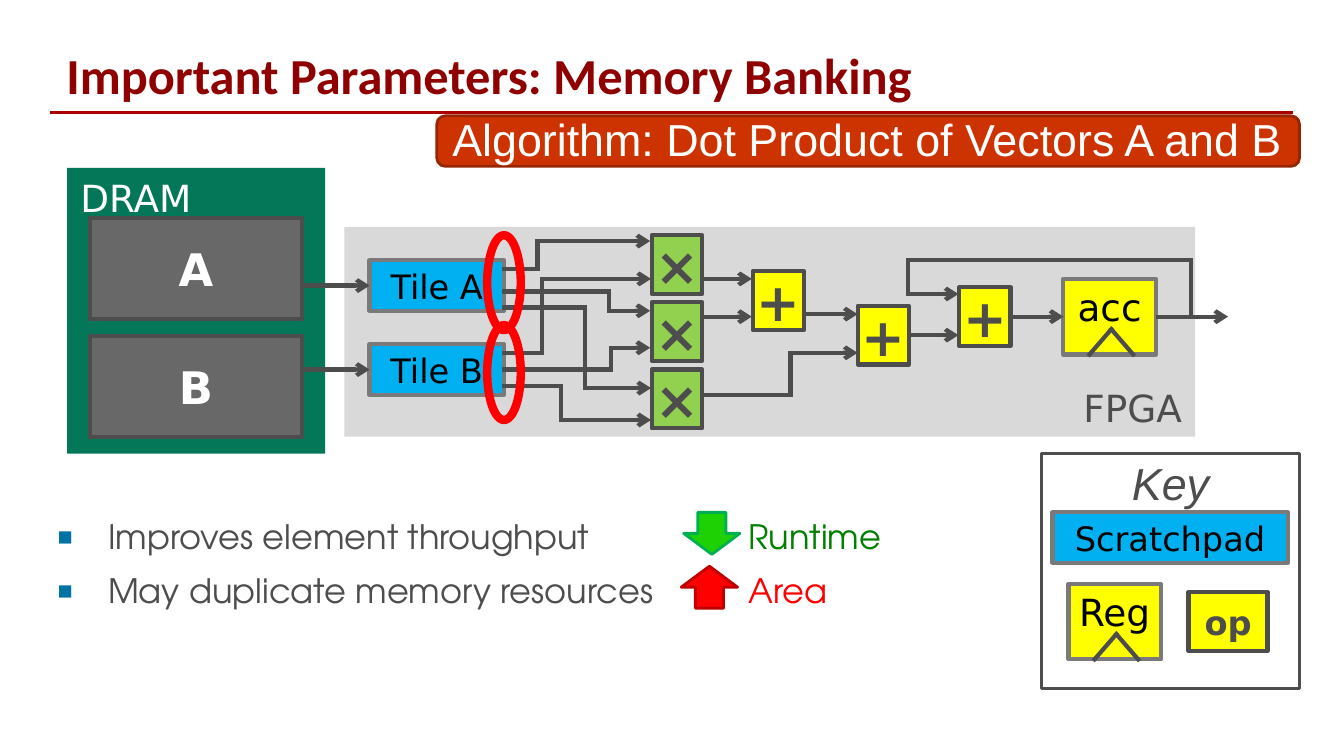
from itertools import pairwise

from lxml import etree
from pptx import Presentation
from pptx.dml.color import RGBColor
from pptx.enum.shapes import MSO_CONNECTOR, MSO_SHAPE
from pptx.enum.text import MSO_ANCHOR, MSO_AUTO_SIZE, PP_ALIGN
from pptx.oxml.ns import qn
from pptx.util import Inches, Pt

RECTANGLE, ROUNDED = MSO_SHAPE.RECTANGLE, MSO_SHAPE.ROUNDED_RECTANGLE
ELLIPSE, DOWN_ARROW = MSO_SHAPE.OVAL, MSO_SHAPE.DOWN_ARROW
STRAIGHT = MSO_CONNECTOR.STRAIGHT
TOP, MIDDLE, BOTTOM = MSO_ANCHOR.TOP, MSO_ANCHOR.MIDDLE, MSO_ANCHOR.BOTTOM
LEFT, CENTER, RIGHT = PP_ALIGN.LEFT, PP_ALIGN.CENTER, PP_ALIGN.RIGHT
LEFT_SIDE, RIGHT_SIDE = 1, 3

WHITE = RGBColor(0xFF, 0xFF, 0xFF)
BLACK = RGBColor(0, 0, 0)
INK = RGBColor(0x4D, 0x4D, 0x4D)
EDGE = RGBColor(0x7A, 0x7A, 0x7A)
BANK = RGBColor(0x68, 0x68, 0x68)
PANEL = RGBColor(0xD9, 0xD9, 0xD9)
DRAM_GREEN = RGBColor(0x05, 0x77, 0x59)
YELLOW = RGBColor(0xFF, 0xFF, 0)
LIME = RGBColor(0x92, 0xD0, 0x50)
BLUE = RGBColor(0, 0xB0, 0xF0)
RED = RGBColor(0xFF, 0, 0)
DARK_RED = RGBColor(0xC0, 0, 0)
TITLE_RED = RGBColor(0x8F, 0, 0)
RULE_RED = RGBColor(0xAC, 0, 0)
BANNER = RGBColor(0xCC, 0x33, 0)
BANNER_EDGE = RGBColor(0x97, 0x26, 0)
DOWN_GREEN = RGBColor(0x1D, 0xD1, 0x05)
DOWN_EDGE = RGBColor(0, 0xB0, 0x50)
RUNTIME_GREEN = RGBColor(0, 0x80, 0)

deck = Presentation()
deck.slide_width, deck.slide_height = Inches(13.33), Inches(7.5)
COLUMN, ROW = deck.slide_width / 160, deck.slide_height / 90
page = deck.slides.add_slide(deck.slide_layouts[1])


def add_block(place, fill, edge=None, label="", font=None, kind=RECTANGLE,
              weight=3, align=CENTER, anchor=MIDDLE, margins=(0.13, 0.07), spacing=1.0):
    """Place is left, top, width and height in grid cells."""
    left, top, width, height = place
    box = page.shapes.add_shape(kind, round(left * COLUMN), round(top * ROW),
                                round(width * COLUMN), round(height * ROW))
    box.shadow.inherit = False
    if fill is None:
        box.fill.background()
    else:
        box.fill.solid()
        box.fill.fore_color.rgb = fill
    if edge is None:
        box.line.fill.background()
    else:
        box.line.color.rgb = edge
        box.line.width = Pt(weight)
    if label:
        frame = box.text_frame
        frame.word_wrap = True
        frame.vertical_anchor = anchor
        frame.margin_left = frame.margin_right = Inches(margins[0])
        frame.margin_top = frame.margin_bottom = Inches(margins[1])
        para = frame.paragraphs[0]
        para.alignment = align
        para.line_spacing = spacing
        span = para.add_run()
        span.text = label
        span.font.color.rgb = font["color"]
        for name in ("name", "size", "bold", "italic"):
            setattr(span.font, name, font.get(name))
    return box


def add_route(points, source=None, target=None, color=INK, weight=3, arrow=True):
    """Draw straight segments through grid points, joined to blocks at the ends."""
    segments = []
    for start, end in pairwise(points):
        wire = page.shapes.add_connector(
            STRAIGHT, round(start[0] * COLUMN), round(start[1] * ROW),
            round(end[0] * COLUMN), round(end[1] * ROW))
        wire.line.color.rgb = color
        wire.line.width = Pt(weight)
        wire.line._get_or_add_ln().set("cap", "sq")
        etree.SubElement(wire._element.spPr, qn("a:effectLst"))
        segments.append(wire)
    if arrow:
        line = segments[-1].line._get_or_add_ln()
        line.set("cap", "flat")
        etree.SubElement(line, qn("a:tailEnd"), type="arrow")
    if source is not None:
        segments[0].begin_connect(source, RIGHT_SIDE)
    if target is not None:
        segments[-1].end_connect(target, LEFT_SIDE)


def deja(size, color, bold=False):
    return {"name": "DejaVu Sans", "size": Pt(size), "color": color, "bold": bold}


# Title and its rule
title, body = page.shapes.title, page.placeholders[1]
for holder, (left, top, width, height), anchor in (
        (title, (6.7, 4.8, 149, 8.2), BOTTOM), (body, (5.3, 60.8, 149.3, 29), TOP)):
    holder.left, holder.top = round(left * COLUMN), round(top * ROW)
    holder.width, holder.height = round(width * COLUMN), round(height * ROW)
    holder.text_frame.auto_size = MSO_AUTO_SIZE.NONE
    holder.text_frame.vertical_anchor = anchor
heading = title.text_frame.paragraphs[0]
heading.alignment, heading.line_spacing = LEFT, 0.8
span = heading.add_run()
span.text = "Important Parameters: Memory Banking"
span.font.color.rgb = TITLE_RED
for name, value in {"name": "Calibri", "size": Pt(36), "bold": True}.items():
    setattr(span.font, name, value)
add_route([(6.1, 13.4), (153.8, 13.4)], color=RULE_RED, weight=1.5, arrow=False)

# Effects list: the second column starts at a tab stop
frame = body.text_frame
frame.margin_left = frame.margin_right = Inches(0.13)
frame.margin_top = frame.margin_bottom = Inches(0.07)
effects = (("Improves element throughput", "Runtime", RUNTIME_GREEN),
           ("May duplicate memory resources", "Area", RED))
for index, (effect, measure, color) in enumerate(effects):
    para = frame.add_paragraph() if index else frame.paragraphs[0]
    para.line_spacing, para.space_before = 0.98, Pt(10.3)
    settings = para._p.get_or_add_pPr()
    settings.set("marL", str(Inches(0.5)))
    settings.set("indent", str(-Inches(0.5)))
    bullet_color = etree.SubElement(settings, qn("a:buClr"))
    etree.SubElement(bullet_color, qn("a:srgbClr"), val="0072A4")
    etree.SubElement(settings, qn("a:buSzPct"), val="75000")
    etree.SubElement(settings, qn("a:buChar"), char="■")
    stops = etree.SubElement(settings, qn("a:tabLst"))
    etree.SubElement(stops, qn("a:tab"), pos=str(Inches(6.85)), algn="l")
    for words, tint in ((effect + "\t", INK), (measure, color)):
        span = para.add_run()
        span.text = words
        span.font.name, span.font.size = "TeX Gyre Adventor", Pt(24)
        span.font.color.rgb = tint

# Memory and FPGA panels
add_block((8, 20, 30.7, 34), DRAM_GREEN, label="DRAM", font=deja(26.7, WHITE),
          align=LEFT, anchor=TOP)
add_block((41, 27, 101.3, 25), PANEL, label="FPGA", font=deja(26.7, INK),
          align=RIGHT, anchor=BOTTOM)
add_block((52, 13.8, 102.7, 6), BANNER, BANNER_EDGE,
          "Algorithm: Dot Product of Vectors A and B",
          {"name": "Arial", "size": Pt(32), "color": WHITE},
          kind=ROUNDED, weight=2, align=LEFT, spacing=0.93)

tiles = []
for vector, bank_top, tile_top in (("A", 26, 31), ("B", 40, 41)):
    add_block((10.7, bank_top, 25.3, 12), BANK, INK, vector, deja(32, WHITE, True))
    tile = add_block((44, tile_top, 16, 6), BLUE, EDGE, f"Tile {vector}", deja(24, BLACK))
    add_route([(36, tile_top + 3), (44, tile_top + 3)], target=tile)
    tiles.append(tile)

# Operators
for row in range(3):
    add_block((77.6, 28 + 8 * row, 6, 7), LIME, INK, "×", deja(37.3, INK, True), margins=(0, 0))
adders = [add_block((left, top, 6.1, 7), YELLOW, INK, "+", deja(37.3, INK, True), margins=(0, 0))
          for left, top in ((89.6, 32.3), (102.1, 36.4), (114.2, 34.2))]

# Key and registers
add_block((124, 54, 30.7, 28), WHITE, INK, "Key",
          {"name": "Arial", "size": Pt(32), "color": INK, "italic": True},
          weight=2, anchor=TOP, spacing=0.93)
add_block((125.3, 61, 28, 6), BLUE, EDGE, "Scratchpad", deja(24, BLACK))
add_block((141.5, 70.5, 9.4, 7), YELLOW, INK, "op", deja(24, INK, True), margins=(0, 0))
registers = []
for label, left, top in (("acc", 126.6, 33.2), ("Reg", 127.2, 69.5)):
    registers.append(add_block((left, top, 11, 9), YELLOW, EDGE, label, deja(26.7, BLACK),
                               anchor=TOP, margins=(0.1, 0.05)))
    add_route([(left + 3.1, top + 9), (left + 5.7, top + 6), (left + 8.3, top + 9)], arrow=False)
accumulator = registers[0]

# Wires from tiles to multipliers, then through the adder tree and back
for points, source, target in (
        ([(60, 32), (64, 32), (64, 28.7), (77.4, 28.7)], None, None),
        ([(60, 34.7), (72.5, 34.7), (72.5, 37), (77.4, 37)], None, None),
        ([(60, 36.6), (69.6, 36.6), (69.6, 46.2), (77.5, 46.2)], None, None),
        ([(60, 42), (64.5, 42), (64.5, 33.2), (77.5, 33.2)], None, None),
        ([(60, 44), (72.7, 44), (72.7, 41.4), (77.4, 41.4)], tiles[1], None),
        ([(60, 46), (66.8, 46), (66.8, 50), (77.5, 50)], None, None),
        ([(83.6, 33.2), (89.5, 33.2)], None, None),
        ([(83.6, 37.7), (89.5, 37.7)], None, None),
        ([(83.6, 47), (94.1, 47), (94.1, 42), (102.1, 42)], None, None),
        ([(95.7, 37.4), (102.1, 37.4)], None, None),
        ([(108.2, 39.9), (114.1, 39.9)], adders[1], None),
        ([(120.3, 37.7), (126.6, 37.7)], adders[2], accumulator),
        ([(137.6, 37.7), (146.2, 37.7)], accumulator, None),
        ([(141.8, 37.7), (141.8, 31), (108.1, 31), (108.1, 35), (114.1, 35)], None, None)):
    add_route(points, source, target)

# Bank highlights and trend arrows
for top in (28, 38.7):
    add_block((58, top, 4, 11.3), None, RED, kind=ELLIPSE, weight=6)
add_block((81.4, 61, 6.7, 5), DOWN_GREEN, DOWN_EDGE, kind=DOWN_ARROW, weight=2)
area_arrow = add_block((81.1, 67.4, 6.7, 5), RED, DARK_RED, kind=DOWN_ARROW, weight=2)
area_arrow.rotation = 180

deck.save("out.pptx")
